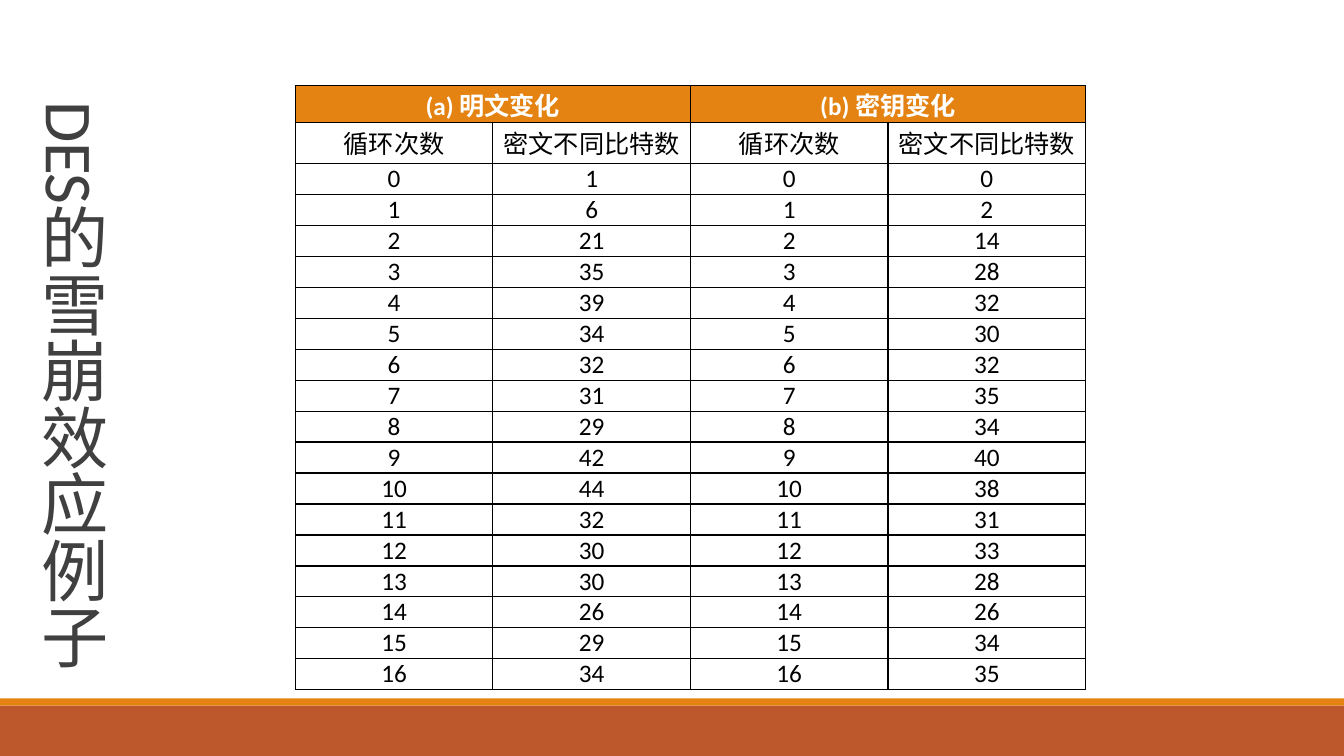
from lxml import etree
from pptx import Presentation
from pptx import util as u
from pptx.dml.color import RGBColor
from pptx.enum import shapes, text
from pptx.oxml import ns


def tint(code):
    return RGBColor.from_string(code)


class Deck:
    """Holds the style and the current slide, and draws its elements."""

    font = "Calibri"
    dark, ink, white = "404040", "000000", "FFFFFF"
    rust, gold = "BD582C", "E48312"

    def __init__(self):
        self.show = Presentation()
        self.show.slide_width, self.show.slide_height = u.Cm(33.87), u.Cm(19.05)
        self.slide = self.show.slides.add_slide(self.show.slide_layouts[6])

    def style(self, para, size, color, bold=False):
        for run in para.runs:
            run.font.name = self.font
            run.font.size = u.Pt(size)
            run.font.bold = bold
            run.font.color.rgb = tint(color)

    def bar(self, top, height, color):
        bar = self.slide.shapes.add_shape(
            shapes.MSO_SHAPE.RECTANGLE, 0, u.Cm(top), self.show.slide_width, u.Cm(height))
        bar.shadow.inherit = False
        bar.fill.solid()
        bar.fill.fore_color.rgb = tint(color)
        bar.line.fill.background()

    def title(self, words, left, top, width, height):
        box = self.slide.shapes.add_textbox(*map(u.Cm, (left, top, width, height)))
        frame = box.text_frame
        frame.word_wrap = True
        frame.vertical_anchor = text.MSO_ANCHOR.BOTTOM
        box.element.txBody.bodyPr.set("vert", "eaVert")
        frame.text = words
        para = frame.paragraphs[0]
        para.line_spacing = 0.85
        self.style(para, 48, self.dark)
        para.runs[0].font.element.set("spc", "-50") if hasattr(
            para.runs[0].font, "element") else para.runs[0].font._element.set("spc", "-50")

    def border(self, cell):
        props = cell._tc.get_or_add_tcPr()
        for spot, side in enumerate(("lnL", "lnR", "lnT", "lnB")):
            line = etree.Element(ns.qn(f"a:{side}"), w=str(u.Pt(1)))
            fill = etree.SubElement(line, ns.qn("a:solidFill"))
            etree.SubElement(fill, ns.qn("a:srgbClr"), val=self.ink)
            props.insert(spot, line)

    def cell(self, cell, words, head):
        cell.margin_left = cell.margin_right = u.Cm(0.18)
        cell.margin_top = cell.margin_bottom = 0
        cell.vertical_anchor = text.MSO_ANCHOR.MIDDLE
        if head:
            cell.fill.solid()
            cell.fill.fore_color.rgb = tint(self.gold)
        else:
            cell.fill.background()
        self.border(cell)
        cell.text_frame.text = words
        para = cell.text_frame.paragraphs[0]
        para.alignment = text.PP_ALIGN.CENTER
        self.style(para, 18, self.white if head else self.ink, head)

    def table(self, rows, left, top, width, heights):
        count = len(rows[0])
        grid = self.slide.shapes.add_table(
            len(rows), count, u.Cm(left), u.Cm(top),
            u.Cm(width * count), u.Cm(sum(heights))).table
        for col in grid.columns:
            col.width = u.Cm(width)
        for r, (row, height) in enumerate(zip(rows, heights)):
            grid.rows[r].height = u.Cm(height)
            for c, words in enumerate(row):
                self.cell(grid.cell(r, c), words, r == 0)
        for c in range(0, count, 2):
            grid.cell(0, c).merge(grid.cell(0, c + 1))


def main():
    deck = Deck()
    deck.bar(17.78, 1.27, deck.rust)
    deck.bar(17.6, 0.18, deck.gold)
    deck.title("DES的雪崩效应例子", 0.69, 2.31, 7.32, 16)

    plain = [1, 6, 21, 35, 39, 34, 32, 31, 29, 42, 44, 32, 30, 30, 26, 29, 34]
    keys = [0, 2, 14, 28, 32, 30, 32, 35, 34, 40, 38, 31, 33, 28, 26, 34, 35]
    rows = [["(a) 明文变化", "", "(b) 密钥变化", ""], ["循环次数", "密文不同比特数"] * 2]
    for turn, (left, right) in enumerate(zip(plain, keys)):
        rows.append([str(n) for n in (turn, left, turn, right)])
    deck.table(rows, 7.44, 2.16, 4.98, [0.91, 1.04] + [0.78] * len(plain))
    deck.show.save("out.pptx")


if __name__ == "__main__":
    main()
